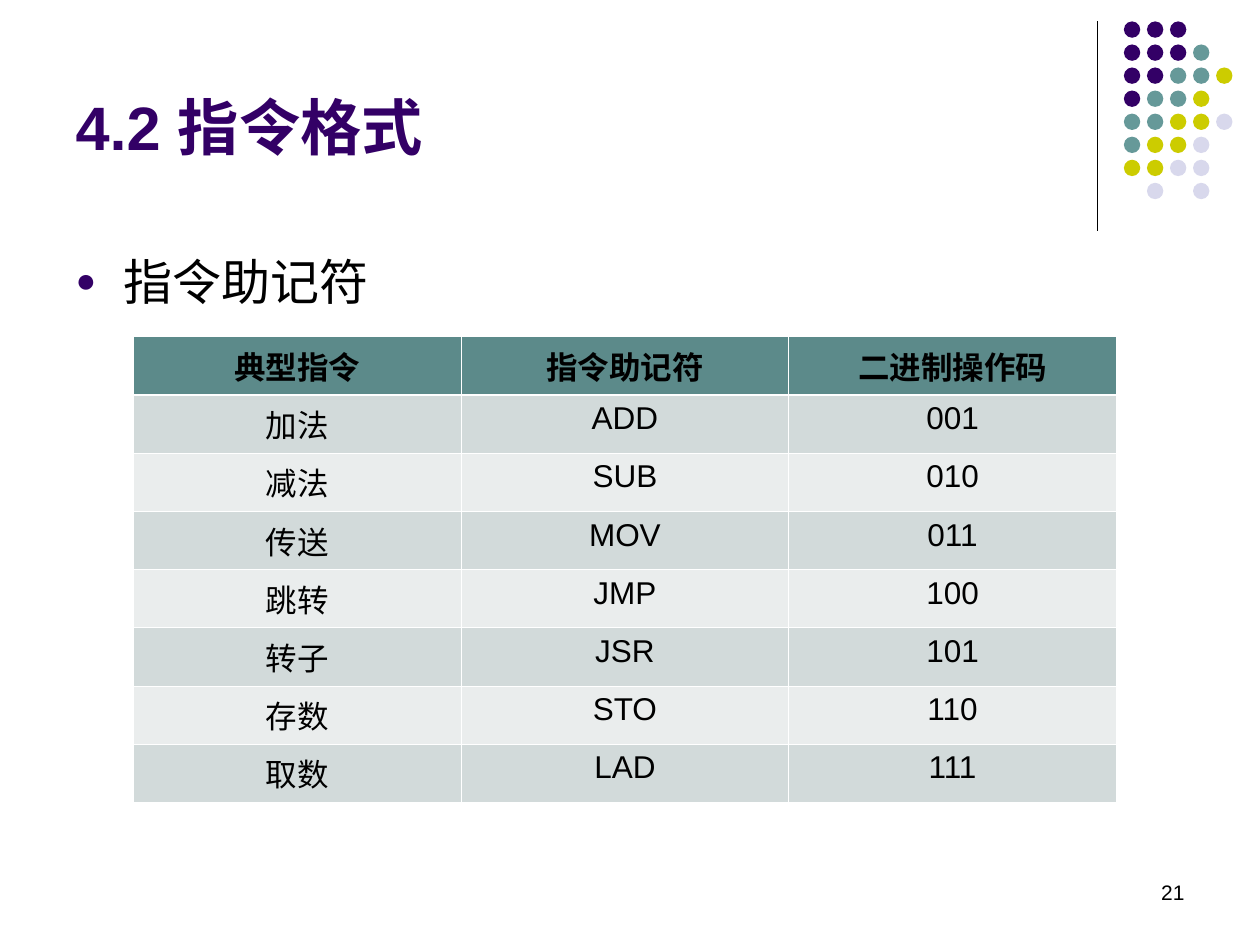
from lxml.etree import SubElement
from pptx import Presentation
from pptx.dml.color import RGBColor
from pptx.enum.shapes import MSO_CONNECTOR, MSO_SHAPE
from pptx.enum.text import MSO_ANCHOR, MSO_AUTO_SIZE, PP_ALIGN
from pptx.oxml.ns import qn
from pptx.util import Inches, Pt

PURPLE = RGBColor(0x33, 0x00, 0x66)
TEAL = RGBColor(0x66, 0x99, 0x99)
LIME = RGBColor(0xCC, 0xCC, 0x00)
LILAC = RGBColor(0xD8, 0xD8, 0xEC)
BLACK = RGBColor(0x00, 0x00, 0x00)
WHITE = RGBColor(0xFF, 0xFF, 0xFF)
HEAD = RGBColor(0x5C, 0x8A, 0x8A)
BAND = RGBColor(0xD2, 0xDA, 0xDA)
PALE = RGBColor(0xEA, 0xED, 0xED)

DOTS = ["PPP", "PPPT", "PPTTL", "PTTL", "TTLLG", "TLLG", "LLGG", " G G"]
HUES = {"P": PURPLE, "T": TEAL, "L": LIME, "G": LILAC}
ROWS = [
    ("典型指令", "指令助记符", "二进制操作码"),
    ("加法", "ADD", "001"),
    ("减法", "SUB", "010"),
    ("传送", "MOV", "011"),
    ("跳转", "JMP", "100"),
    ("转子", "JSR", "101"),
    ("存数", "STO", "110"),
    ("取数", "LAD", "111"),
]


def write(frame, text, size=18, color=BLACK, bold=False, align=PP_ALIGN.LEFT):
    """Put one formatted paragraph in a text frame and return it."""
    para = frame.paragraphs[0]
    para.alignment = align
    run = para.add_run()
    run.text = text
    font = run.font
    font.name, font.size, font.bold = "Arial", Pt(size), bold
    font.color.rgb = color
    return para


def place(shape, left, top, width, height, anchor):
    """Fit a text shape to its box and return its frame."""
    shape.left, shape.top = Inches(left), Inches(top)
    shape.width, shape.height = Inches(width), Inches(height)
    frame = shape.text_frame
    frame.word_wrap = True
    frame.auto_size = MSO_AUTO_SIZE.NONE
    frame.vertical_anchor = anchor
    return frame


def mark(para, color, indent):
    """Give a paragraph a round bullet with a hanging indent."""
    props = para._p.get_or_add_pPr()
    props.set("marL", str(Inches(indent)))
    props.set("indent", str(-Inches(indent)))
    tint = SubElement(props, qn("a:buClr"))
    SubElement(tint, qn("a:srgbClr"), val=str(color))
    SubElement(props, qn("a:buSzPct"), val="70000")
    SubElement(props, qn("a:buFont"), typeface="Arial")
    SubElement(props, qn("a:buChar"), char="●")


def add_title(slide, left, top, width, height):
    """Fill the title placeholder."""
    frame = place(slide.shapes.title, left, top, width, height, MSO_ANCHOR.MIDDLE)
    write(frame, "4.2 指令格式", size=35, color=PURPLE, bold=True)


def add_list(slide, left, top, width, height):
    """Fill the body placeholder with its bullet."""
    frame = place(slide.placeholders[1], left, top, width, height, MSO_ANCHOR.TOP)
    para = write(frame, "指令助记符", size=28)
    para.line_spacing = 1.14
    para.space_before = Pt(7)
    mark(para, PURPLE, 0.38)


def add_number(slide, left, top, width, height):
    """Write the page number at the foot."""
    box = slide.shapes.add_textbox(0, 0, 0, 0)
    frame = place(box, left, top, width, height, MSO_ANCHOR.MIDDLE)
    write(frame, "21", size=12, align=PP_ALIGN.RIGHT)


def add_dots(slide, left, top, height, gap=0.21, pitch=0.183, size=0.13):
    """Draw the rule and the dot grid beside it."""
    x, y = Inches(left), Inches(top)
    rule = slide.shapes.add_connector(
        MSO_CONNECTOR.STRAIGHT, x, y, x, y + Inches(height))
    rule.line.color.rgb = BLACK
    rule.line.width = Pt(0.75)
    SubElement(rule._element.spPr, qn("a:effectLst"))
    group = slide.shapes.add_group_shape()
    for r, line in enumerate(DOTS):
        for c, key in enumerate(line):
            if key not in HUES:
                continue
            dot = group.shapes.add_shape(
                MSO_SHAPE.OVAL, Inches(left + gap + c * pitch),
                Inches(top + r * pitch), Inches(size), Inches(size))
            dot.shadow.inherit = False
            dot.fill.solid()
            dot.fill.fore_color.rgb = HUES[key]
            dot.line.fill.background()


def edge(cell, **widths):
    """Draw white cell borders of the given point widths."""
    props = cell._tc.get_or_add_tcPr()
    for side, width in widths.items():
        line = SubElement(props, qn(f"a:ln{side}"), w=str(Pt(width)))
        fill = SubElement(line, qn("a:solidFill"))
        SubElement(fill, qn("a:srgbClr"), val=str(WHITE))


def add_codes(slide, left, top, width, height):
    """Build the table of instructions and opcodes."""
    table = slide.shapes.add_table(
        len(ROWS), len(ROWS[0]), Inches(left), Inches(top),
        Inches(width), Inches(height)).table
    thin, thick = 0.45, 1.47
    for r, row in enumerate(ROWS):
        shade = HEAD if r == 0 else BAND if r % 2 else PALE
        for c, text in enumerate(row):
            cell = table.cell(r, c)
            edge(cell, L=thin, R=thin, T=thick if r == 1 else thin,
                 B=thick if r == 0 else thin)
            cell.fill.solid()
            cell.fill.fore_color.rgb = shade
            write(cell.text_frame, text, bold=r == 0, align=PP_ALIGN.CENTER)


def main():
    """Build the slide and save it."""
    deck = Presentation()
    deck.slide_width, deck.slide_height = Inches(10), Inches(7.5)
    slide = deck.slides.add_slide(deck.slide_layouts[1])
    add_dots(slide, 8.71, 0.17, 1.66)
    add_title(slide, 0.5, 0.29, 8.25, 1.42)
    add_list(slide, 0.5, 1.88, 9, 4.82)
    add_number(slide, 7.17, 6.83, 2.33, 0.5)
    add_codes(slide, 1.06, 2.67, 7.8, 3.24)
    deck.save("out.pptx")


if __name__ == "__main__":
    main()
